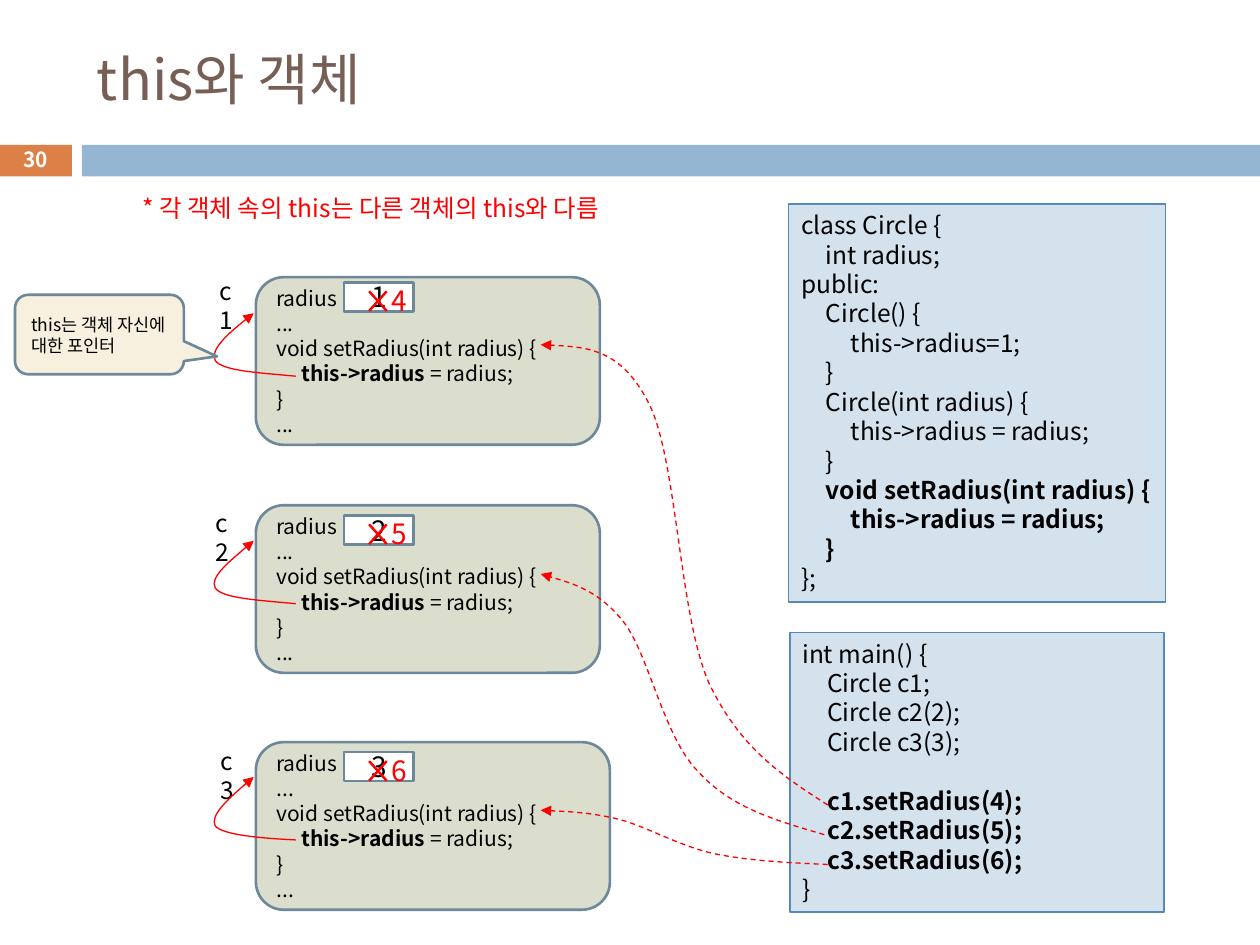
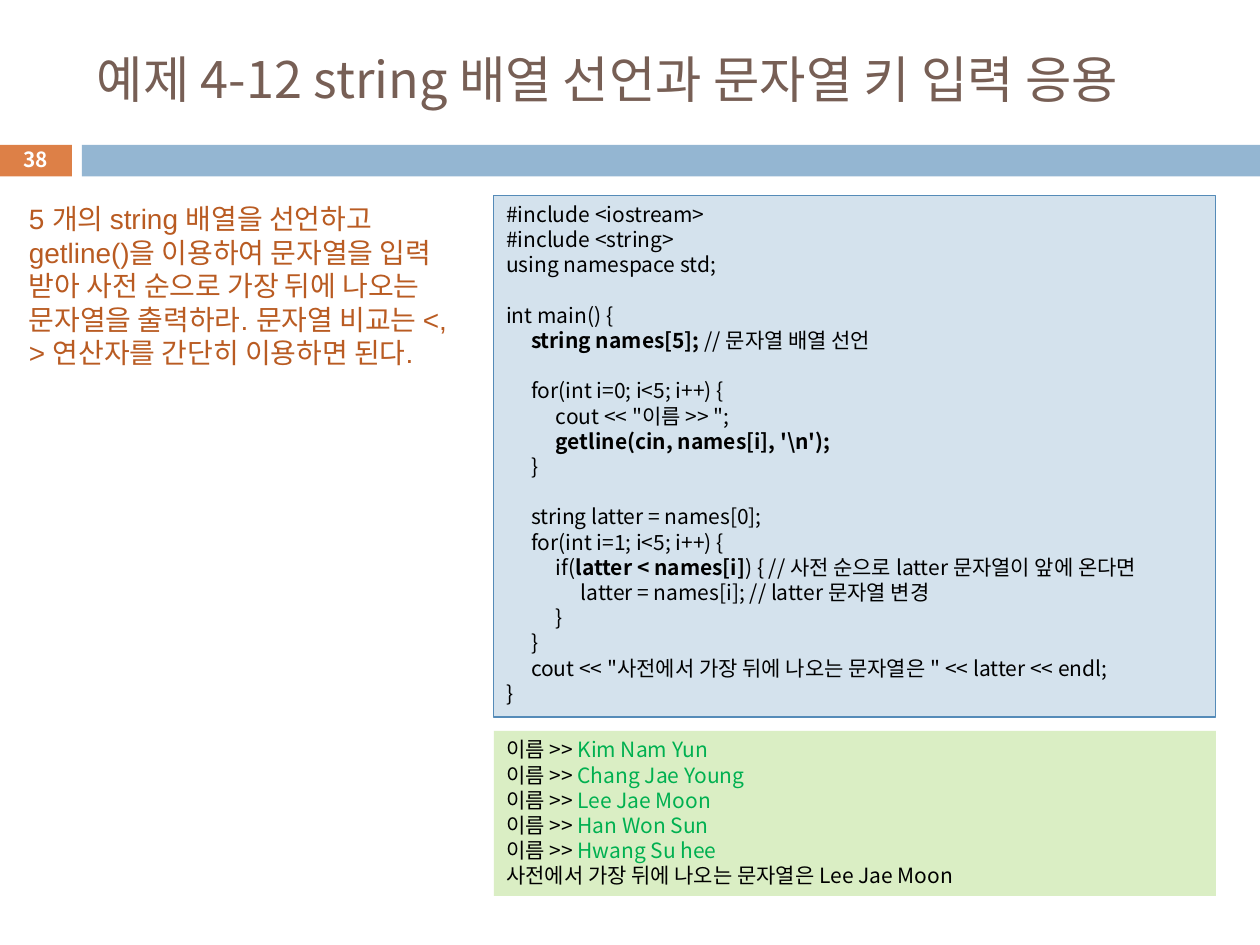
"""Build two C++ lecture slides: this pointers of objects, and a string array exercise."""
from lxml.etree import SubElement
from pptx import Presentation
from pptx.dml.color import RGBColor
from pptx.enum.dml import MSO_LINE
from pptx.enum.shapes import MSO_SHAPE
from pptx.enum.text import MSO_ANCHOR, PP_ALIGN
from pptx.oxml.ns import qn
from pptx.util import Pt

KOREAN_FONT = "Noto Sans CJK KR"
BLACK, WHITE, RED, GREEN = "000000", "FFFFFF", "FF0000", "00B050"
BROWN, ORANGE, BAND_BLUE, RUST = "775F55", "DD8047", "94B6D2", "B95B22"
CODE_FILL, CODE_EDGE, OUTPUT_FILL = "D4E2ED", "558BB8", "DAEEC4"
OBJECT_FILL, OBJECT_EDGE, NOTE_FILL = "DBDDCD", "6D879B", "F7F0DE"
INDENT = 14.2
LINE_HEIGHT = 1.2

CIRCLE_CLASS = [
    "class Circle {",
    "\tint radius;",
    "public:",
    "\tCircle() {",
    "\t\tthis->radius=1;",
    "\t}",
    "\tCircle(int radius) {",
    "\t\tthis->radius = radius;",
    "\t}",
    "\t`void setRadius(int radius) {`",
    "\t\t`this->radius = radius;`",
    "\t`}`",
    "};",
]
CIRCLE_MAIN = [
    "int main() {",
    "\tCircle c1;",
    "\tCircle c2(2);",
    "\tCircle c3(3);",
    "",
    "\t`c1.setRadius(4);`",
    "\t`c2.setRadius(5);`",
    "\t`c3.setRadius(6);`",
    "}",
]
OBJECT_BODY = [
    "radius",
    "...",
    "void setRadius(int radius) {",
    "\t`this->radius `= radius;",
    "}",
    "...",
]
CIRCLES = [
    dict(name="c1", old="1", new="4", top=158.4, width=196.6, field_top=161.3,
         label_at=(118.1, 154.1)),
    dict(name="c2", old="2", new="5", top=288.7, width=196.6, field_top=294.5,
         label_at=(115.9, 286.6)),
    dict(name="c3", old="3", new="6", top=424.1, width=202.3, field_top=429.8,
         label_at=(118.8, 422.6)),
]
THIS_CURVE = [(169.2, 56.2), (148.3, 54.7), (127.4, 53.3), (123.1, 47.5),
              (119.5, 41.8), (132.5, 31), (145.4, 20.2)]
CALL_CURVES = [
    [(473, 460.1), (447.8, 444.2), (422.6, 427.7), (405.4, 389.5), (388.1, 351.4),
     (386.6, 262.8), (370.8, 231.1), (355, 198.7), (331.9, 198), (308.9, 196.6)],
    [(470.9, 477.4), (444.2, 469.4), (417.6, 462.2), (398.9, 441.4), (379.4, 421.2),
     (370.8, 373.7), (355.7, 355), (340.6, 336.2), (308.9, 328.3), (308.9, 328.3)],
    [(473, 493.9), (451.4, 493.2), (429.1, 492.5), (409, 488.2), (388.8, 483.8),
     (369.4, 472.3), (352.8, 468), (335.5, 463.7), (308.9, 463), (308.9, 463)],
]
NAMES_PROGRAM = [
    "#include <iostream>",
    "#include <string>",
    "using namespace std;",
    "",
    "int main() {",
    "\t`string names[5]; `// 문자열 배열 선언",
    "",
    "\tfor(int i=0; i<5; i++) {",
    "\t\tcout << \"이름 >> \";",
    "\t\t`getline(cin, names[i], '\\n');`",
    "\t}",
    "",
    "\tstring latter = names[0];",
    "\tfor(int i=1; i<5; i++) {",
    "\t\tif(`latter < names[i]`) { // 사전 순으로 latter 문자열이 앞에 온다면",
    "\t\t\tlatter = names[i]; // latter 문자열 변경",
    "\t\t}",
    "\t}",
    "\tcout << \"사전에서 가장 뒤에 나오는 문자열은 \" << latter << endl;",
    "}",
]
TYPED_NAMES = ["Kim Nam Yun", "Chang Jae Young", "Lee Jae Moon", "Han Won Sun", "Hwang Su hee"]
EXERCISE = ("5 개의 string 배열을 선언하고 getline()을 이용하여 문자열을 입력 받아 사전 순으로 "
            "가장 뒤에 나오는 문자열을 출력하라. 문자열 비교는 <, > 연산자를 간단히 이용하면 된다.")


def rgb(hex_color):
    """Return the colour for a hex string."""
    return RGBColor.from_string(hex_color)


def write(shape, lines, size=12, color=BLACK, font=KOREAN_FONT, bold=False, accent=None,
          align=PP_ALIGN.LEFT, anchor=MSO_ANCHOR.TOP, wrap=True, spacing=LINE_HEIGHT):
    """Write lines; leading tabs indent, backticks mark accented runs, blanks add space."""
    frame = shape.text_frame
    frame.word_wrap = wrap
    frame.vertical_anchor = anchor
    paragraph, skipped = frame.paragraphs[0], 0
    for number, line in enumerate(lines):
        if not line:
            skipped += 1
            continue
        if number:
            paragraph = frame.add_paragraph()
        paragraph.alignment = align
        if spacing:
            paragraph.line_spacing = Pt(size * spacing)
            paragraph.space_before = Pt(size * spacing * skipped)
        content = line.lstrip("\t")
        depth = len(line) - len(content)
        if depth:
            paragraph._p.get_or_add_pPr().set("marL", str(Pt(depth * INDENT)))
        for part, words in enumerate(content.split("`")):
            if words:
                add_run(paragraph, words, size=size, font=font,
                        **{"color": color, "bold": bold, **((accent or {}) if part % 2 else {})})
        skipped = 0


def add_run(paragraph, words, size, color, font, bold):
    """Add one formatted run with its Latin and Korean fonts."""
    run = paragraph.add_run()
    run.text = words
    run.font.size, run.font.name, run.font.bold = Pt(size), font, bold
    run.font.color.rgb = rgb(color)
    SubElement(run._r.get_or_add_rPr(), qn("a:ea"), typeface=KOREAN_FONT)


def add_box(slide, box, fill, edge=None, edge_width=1.5, kind=MSO_SHAPE.RECTANGLE, adjust=()):
    """Add a flat preset shape at left, top, width, height."""
    shape = slide.shapes.add_shape(kind, *map(Pt, box))
    shape.shadow.inherit = False
    shape.fill.solid()
    shape.fill.fore_color.rgb = rgb(fill)
    if edge:
        shape.line.color.rgb = rgb(edge)
        shape.line.width = Pt(edge_width)
    else:
        shape.line.fill.background()
    for index, value in enumerate(adjust):
        shape.adjustments[index] = value
    return shape


def add_label(slide, box, words, **style):
    """Add a plain text box holding one paragraph."""
    write(slide.shapes.add_textbox(*map(Pt, box)), [words], **style)


def add_code(slide, box, lines, size):
    """Add a blue code panel with bold accents."""
    write(add_box(slide, box, CODE_FILL, CODE_EDGE, 0.75), lines, size=size,
          accent=dict(bold=True))


def add_curved_arrow(slide, points, dashed=False):
    """Draw a red arrow through cubic curves given as a start and point triples."""
    builder = slide.shapes.build_freeform(*points[0], scale=Pt(1))
    builder.add_line_segments(points[1:], close=False)
    arrow = builder.convert_to_shape()
    arrow.shadow.inherit = False
    arrow.fill.background()
    arrow.line.color.rgb = rgb(RED)
    arrow.line.width = Pt(0.75)
    if dashed:
        arrow.line.dash_style = MSO_LINE.DASH
    SubElement(arrow.line._get_or_add_ln(), qn("a:tailEnd"), type="triangle")
    outline = next(arrow._element.iter(qn("a:path")))
    segments = outline.findall(qn("a:lnTo"))
    for start in range(0, len(segments), 3):
        curve = SubElement(outline, qn("a:cubicBezTo"))
        for segment in segments[start:start + 3]:
            curve.append(segment[0])
            outline.remove(segment)


def add_titled_slide(deck, title, number, title_size):
    """Add a slide with the shared bands, page number and title."""
    slide = deck.slides.add_slide(deck.slide_layouts[5])
    heading = slide.shapes.title
    heading.left, heading.top, heading.width, heading.height = map(Pt, (48.2, 18, 642.2, 53.3))
    write(heading, [title], size=title_size, color=BROWN, anchor=MSO_ANCHOR.MIDDLE, spacing=None)
    add_box(slide, (-0.7, 82.8, 41.8, 18), ORANGE)
    add_box(slide, (46.8, 82.8, 673.2, 18), BAND_BLUE)
    add_label(slide, (-0.7, 81.4, 41.8, 19.4), number, size=11.9, color=WHITE, bold=True,
              align=PP_ALIGN.CENTER, anchor=MSO_ANCHOR.MIDDLE, spacing=None)
    return slide


def add_circle_object(slide, name, old, new, top, width, field_top, label_at):
    """Add one Circle object with its name, replaced radius and this arrow."""
    card = add_box(slide, (146.2, top, width, 95.8), OBJECT_FILL, OBJECT_EDGE,
                   kind=MSO_SHAPE.ROUNDED_RECTANGLE)
    write(card, OBJECT_BODY, accent=dict(bold=True), anchor=MSO_ANCHOR.MIDDLE)
    field = add_box(slide, (196.6, field_top, 39.6, 16.6), WHITE, OBJECT_EDGE)
    write(field, [old], size=16, align=PP_ALIGN.CENTER, anchor=MSO_ANCHOR.MIDDLE)
    add_label(slide, (*label_at, 28.8, 24.5), name, size=14)
    add_curved_arrow(slide, [(x, top + y) for x, y in THIS_CURVE])
    add_box(slide, (206.3, field_top, 19.4, 21.6), RED, kind=MSO_SHAPE.MATH_MULTIPLY,
            adjust=[0.071])
    add_label(slide, (216.4, field_top - 2.9, 23.8, 26.6), new, size=16, color=RED, wrap=False)


def build_this_slide(deck):
    """Show that each object has its own this pointer."""
    slide = add_titled_slide(deck, "this와 객체", "30", 32)
    add_code(slide, (450.7, 116.6, 215.3, 227.5), CIRCLE_CLASS, 14)
    add_code(slide, (451.4, 361.4, 213.8, 159.8), CIRCLE_MAIN, 14)
    for circle in CIRCLES:
        add_circle_object(slide, **circle)
    for curve in CALL_CURVES:
        add_curved_arrow(slide, curve, dashed=True)
    add_label(slide, (74.2, 106.6, 303.8, 24.5), "* 각 객체 속의 this는 다른 객체의 this와 다름",
              size=14, color=RED, wrap=False)
    note = add_box(slide, (8.6, 168.5, 96.5, 45.4), NOTE_FILL, OBJECT_EDGE,
                   kind=MSO_SHAPE.ROUNDED_RECTANGULAR_CALLOUT, adjust=[0.696, 0.275, 0.167])
    write(note, ["this는 객체 자신에 대한 포인터"], size=10, anchor=MSO_ANCHOR.MIDDLE)


def build_names_slide(deck):
    """Show the string array exercise, its program and its output."""
    slide = add_titled_slide(deck, "예제 4-12 string 배열 선언과 문자열 키 입력 응용", "38", 28.8)
    output = add_box(slide, (282.2, 417.6, 412.6, 94.3), OUTPUT_FILL)
    write(output, [f"이름 >> `{name}`" for name in TYPED_NAMES]
          + ["사전에서 가장 뒤에 나오는 문자열은 Lee Jae Moon"], accent=dict(color=GREEN))
    add_code(slide, (282.2, 111.6, 412.6, 298.1), NAMES_PROGRAM, 12)
    add_label(slide, (9.4, 111.6, 265.7, 123.8), EXERCISE, size=16, color=RUST, font="Arial")


def main():
    """Build and save the deck."""
    deck = Presentation()
    deck.slide_width, deck.slide_height = Pt(720), Pt(540)
    build_this_slide(deck)
    build_names_slide(deck)
    deck.save("out.pptx")


if __name__ == "__main__":
    main()
